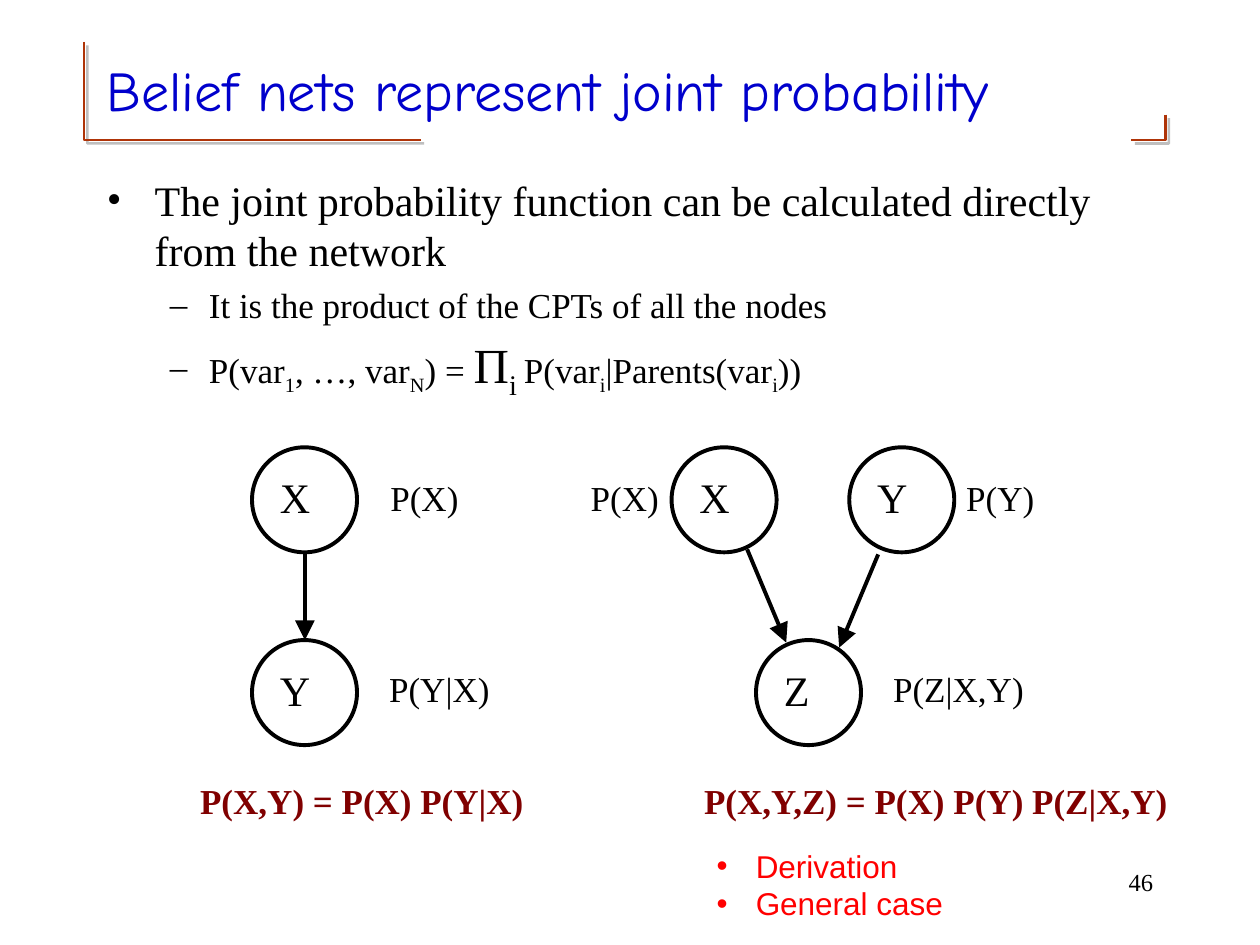
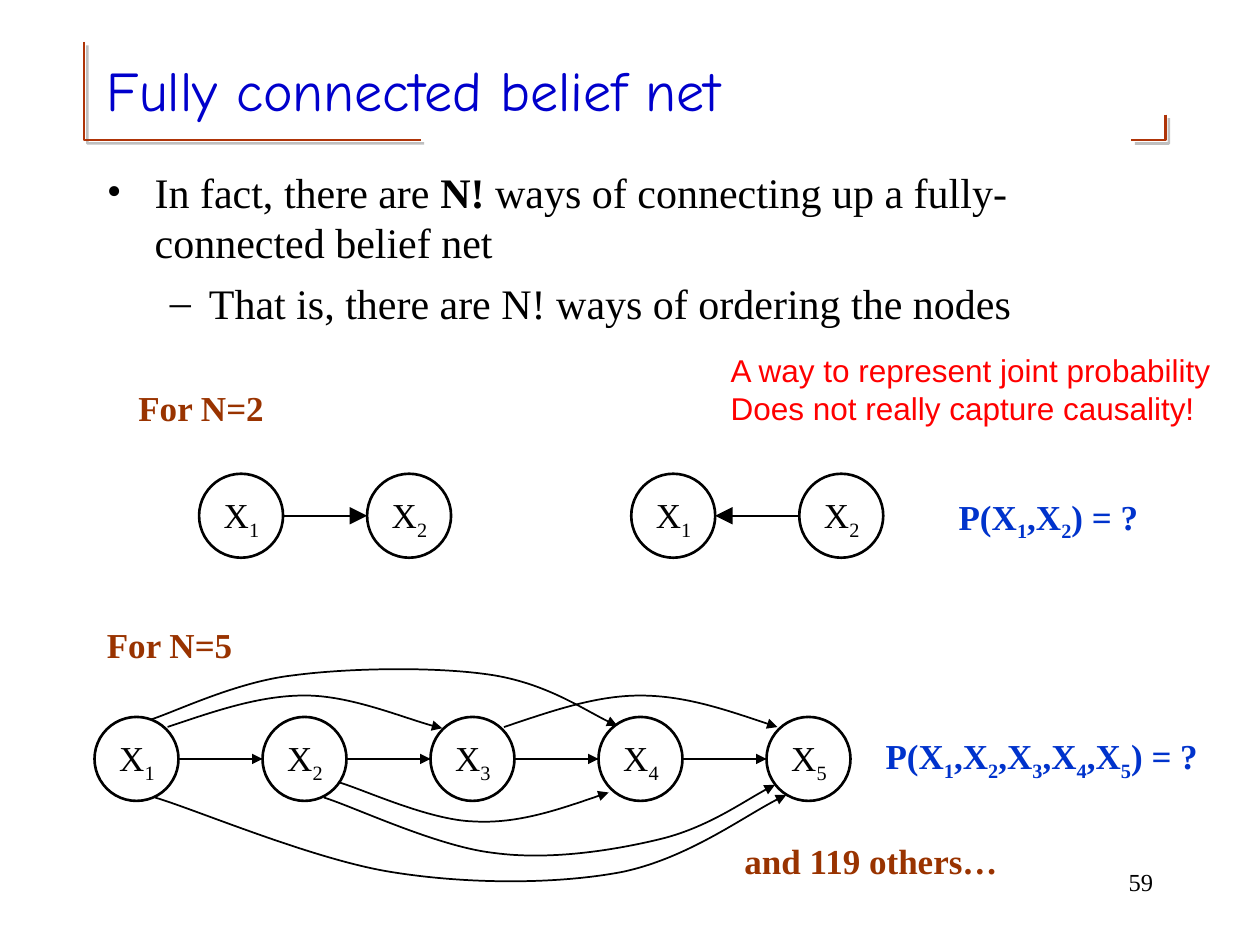
from lxml import etree
from pptx import Presentation
from pptx.dml.color import RGBColor
from pptx.enum.shapes import MSO_CONNECTOR, MSO_SHAPE
from pptx.enum.text import MSO_ANCHOR, MSO_AUTO_SIZE, PP_ALIGN
from pptx.oxml.ns import qn
from pptx.util import Inches, Pt

OVAL = MSO_SHAPE.OVAL
STRAIGHT = MSO_CONNECTOR.STRAIGHT
MIDDLE, TOP = MSO_ANCHOR.MIDDLE, MSO_ANCHOR.TOP
LEFT, RIGHT = PP_ALIGN.LEFT, PP_ALIGN.RIGHT
GROW = MSO_AUTO_SIZE.SHAPE_TO_FIT_TEXT

COLORS = {
    "black": "000000", "title": "0000CC", "frame": "AF3408", "shadow": "808080",
    "formula": "800000", "red": "FF0000", "question": "0033CC", "case": "993300",
}
SERIF, SANS, TITLE = "Times New Roman", "Arial", "Comic Neue"
INDENTS = {"•": (0.38, -0.38), "–": (0.81, -0.31)}


def add_text(s, paragraphs, x, y, w, h, *, size=20, sub_size=None, font=SERIF,
             color="black", bold=False, align=LEFT, anchor=TOP, wrap=False,
             before=0, spacing=None, indents=INDENTS, circle=None):
    box = [Inches(v) for v in (x, y, w, h)]
    if circle:
        sp = s.shapes.add_shape(OVAL, *box)
        sp.shadow.inherit = False
        sp.fill.background()
        sp.line.color.rgb = RGBColor.from_string(COLORS["black"])
        sp.line.width = Pt(circle)
    else:
        sp = s.shapes.add_textbox(*box)
    tf = sp.text_frame
    tf.word_wrap = wrap
    tf.vertical_anchor = anchor
    if circle:
        tf.margin_right = 0
    elif not wrap:
        tf.auto_size = GROW
    for i, text in enumerate(paragraphs):
        p = tf.paragraphs[0] if i == 0 else tf.add_paragraph()
        p.alignment = align
        if i:
            p.space_before = Pt(before)
        if spacing:
            p.line_spacing = spacing
        bullet = text[0] if text[0] in indents else None
        if bullet:
            text = text[2:]
            left, hang = indents[bullet]
            pPr = p._p.get_or_add_pPr()
            pPr.set("marL", str(Inches(left)))
            pPr.set("indent", str(Inches(hang)))
            etree.SubElement(pPr, qn("a:buFont")).set("typeface", font)
            etree.SubElement(pPr, qn("a:buChar")).set("char", bullet)
        for j, part in enumerate(text.split("~")):
            if not part:
                continue
            r = p.add_run()
            r.text = part
            r.font.name = font
            r.font.size = Pt(sub_size if bullet == "–" and sub_size else size)
            r.font.bold = bold
            r.font.color.rgb = RGBColor.from_string(COLORS[color])
            if j % 2:
                r.font._element.set("baseline", "-25000")
    return tf


def add_stroke(s, points, width=1, color="black", arrow=None, shadow=False, curved=False):
    points = [(Inches(x), Inches(y)) for x, y in points]
    if len(points) == 2:
        sp = s.shapes.add_connector(STRAIGHT, *points[0], *points[1])
    else:
        builder = s.shapes.build_freeform(*points[0], scale=1.0)
        builder.add_line_segments(points[1:], close=False)
        sp = builder.convert_to_shape()
        sp.fill.background()
    sp.line.color.rgb = RGBColor.from_string(COLORS[color])
    sp.line.width = Pt(width)
    spPr = sp._element.spPr
    if curved:
        outline = next(spPr.iter(qn("a:moveTo"))).getparent()
        segments = outline.findall(qn("a:lnTo"))
        for k in range(0, len(segments), 3):
            bezier = etree.SubElement(outline, qn("a:cubicBezTo"))
            for segment in segments[k:k + 3]:
                bezier.append(segment[0])
                outline.remove(segment)
    if arrow:
        etree.SubElement(spPr.find(qn("a:ln")), qn("a:tailEnd"),
                         type="triangle", w=arrow, len=arrow)
    effects = etree.SubElement(spPr, qn("a:effectLst"))
    if shadow:
        outer = etree.SubElement(effects, qn("a:outerShdw"), dist=str(Pt(2.8)),
                                 dir="2700000", algn="ctr", rotWithShape="0")
        tint = etree.SubElement(outer, qn("a:srgbClr"), val=COLORS["shadow"])
        etree.SubElement(tint, qn("a:alpha"), val="50000")


prs = Presentation()
prs.slide_width, prs.slide_height = Inches(10), Inches(7.5)
slides = []
BASE = 10 / 9
for title, number in [("Belief nets represent joint probability", "46"),
                      ("Fully connected belief net", "59")]:
    s = prs.slides.add_slide(prs.slide_layouts[6])
    slides.append(s)
    for corner in ([(2 / 3, 1 / 3), (2 / 3, BASE), (3.34, BASE)],
                   [(9.25, 0.91), (9.25, BASE), (8.98, BASE)]):
        add_stroke(s, corner, 1.5, "frame", shadow=True)
    add_text(s, [number], 7.17, 6.83, 2.08, 0.5, size=14, align=RIGHT, wrap=True)
    add_text(s, [title], 0.75, 0.25, 8.5, 0.92, size=32, font=TITLE,
             color="title", anchor=MIDDLE, wrap=True)

s = slides[0]
tf = add_text(s, [
    "• The joint probability function can be calculated directly from the network",
    "– It is the product of the CPTs of all the nodes",
    "– P(var~1~, …, var~N~) = ~~Π~i ~P(var~i~|Parents(var~i~))",
], 0.75, 4 / 3, 8.5, 2.17, size=24, sub_size=20, wrap=True, before=5)
for r in tf.paragraphs[2].runs[5:7]:
    r.font.size = Pt(28)

BIG = 5 / 6
for name, x, y in [("X", 2, 3.55), ("Y", 2, 5.08), ("X", 5.33, 3.55),
                   ("Y", 6.74, 3.55), ("Z", 6, 5.08)]:
    add_text(s, [name], x, y, BIG, BIG, size=24, spacing=0.9,
             anchor=MIDDLE, wrap=True, circle=2.25)
for arrow in ([(2.42, 4.39), (2.42, 5.08)], [(5.93, 4.36), (6.24, 5.1)],
              [(6.97, 4.4), (6.66, 5.14)]):
    add_stroke(s, arrow, 2.25, arrow="lg")
for label, x, y, w in [("P(X)", 3, 3.77, 0.74), ("P(Y|X)", 2.99, 5.29, 1),
                       ("P(X)", 4.59, 3.77, 0.74), ("P(Y)", 7.57, 3.77, 0.74),
                       ("P(Z|X,Y)", 6.99, 5.29, 1.24)]:
    add_text(s, [label], x, y, w, 0.4, spacing=0.9)
for formula, x, w in [("P(X,Y) = P(X) P(Y|X)", 1.49, 2.77),
                      ("P(X,Y,Z) = P(X) P(Y) P(Z|X,Y)", 5.49, 3.9)]:
    add_text(s, [formula], x, 6.14, w, 0.44, color="formula", bold=True)
add_text(s, ["• Derivation", "• General case"], 5.59, 6.67, 2, 0.7, size=18,
         font=SANS, color="red", indents={"•": (0.31, -0.31)})

s = slides[1]
tf = add_text(s, [
    "• In fact, there are ~~N!~~ ways of connecting up a fully-connected belief net",
    "– That is, there are N! ways of ordering the nodes",
], 0.75, 1.27, 8.5, 1.75, size=24, wrap=True, before=6)
tf.paragraphs[0].runs[1].font.bold = True

PITCH, NODE = 4 / 3, 2 / 3
for x0, y0, count, head, flip in [(1.58, 3.76, 2, "lg", False), (5.01, 3.76, 2, "lg", True),
                                  (0.75, 5.69, 5, "med", False)]:
    for i in range(count):
        x, middle = x0 + i * PITCH, y0 + NODE / 2
        add_text(s, [f"X~{i + 1}~"], x, y0, NODE, NODE,
                 spacing=0.9, anchor=MIDDLE, wrap=True, circle=1.5)
        if i:
            ends = [(x - PITCH + NODE, middle), (x, middle)]
            add_stroke(s, ends[::-1] if flip else ends, arrow=head)

for knots in [
    [(1.23, 6.33), (1.54, 6.42), (2.48, 6.82), (3.1, 6.92), (3.71, 7.02),
     (4.42, 7.02), (4.94, 6.92), (5.46, 6.81), (5.97, 6.43), (6.24, 6.31)],
    [(1.33, 5.77), (1.69, 5.65), (2.05, 5.52), (2.42, 5.52), (2.78, 5.52),
     (3.28, 5.73), (3.51, 5.78)],
    [(2.69, 6.21), (2.87, 6.26), (3.4, 6.51), (3.76, 6.52), (4.11, 6.54),
     (4.48, 6.41), (4.83, 6.29)],
    [(4, 5.77), (4.36, 5.65), (4.72, 5.52), (5.08, 5.52), (5.44, 5.52),
     (5.81, 5.65), (6.17, 5.77)],
    [(2.57, 6.33), (2.8, 6.4), (3.47, 6.72), (3.92, 6.77), (4.36, 6.83),
     (4.87, 6.75), (5.24, 6.66), (5.61, 6.57), (5.96, 6.32), (6.15, 6.23)],
    [(1.2, 5.71), (1.39, 5.65), (1.88, 5.41), (2.33, 5.36), (2.78, 5.3),
     (3.49, 5.29), (3.92, 5.36), (4.34, 5.43), (4.69, 5.67), (4.9, 5.76)],
]:
    add_stroke(s, knots, arrow="med", curved=True)

for text, x, y, w, h, color in [
    ("For N=2", 1, 3.02, 1.2, 0.44, "case"),
    ("For N=5", 0.75, 4.9, 1.2, 0.44, "case"),
    ("and 119 others…", 5.81, 6.61, 2.22, 0.44, "case"),
    ("P(X~1~,X~2~) = ?", 7.51, 3.88, 1.64, 0.48, "question"),
    ("P(X~1~,X~2~,X~3~,X~4~,X~5~) = ?", 6.93, 5.78, 2.7, 0.48, "question"),
]:
    add_text(s, [text], x, y, w, h, color=color, bold=True)
add_text(s, ["A way to represent joint probability", "Does not really capture causality!"],
         5.7, 2.74, 4.02, 0.7, size=18, font=SANS, color="red")

prs.save("out.pptx")
